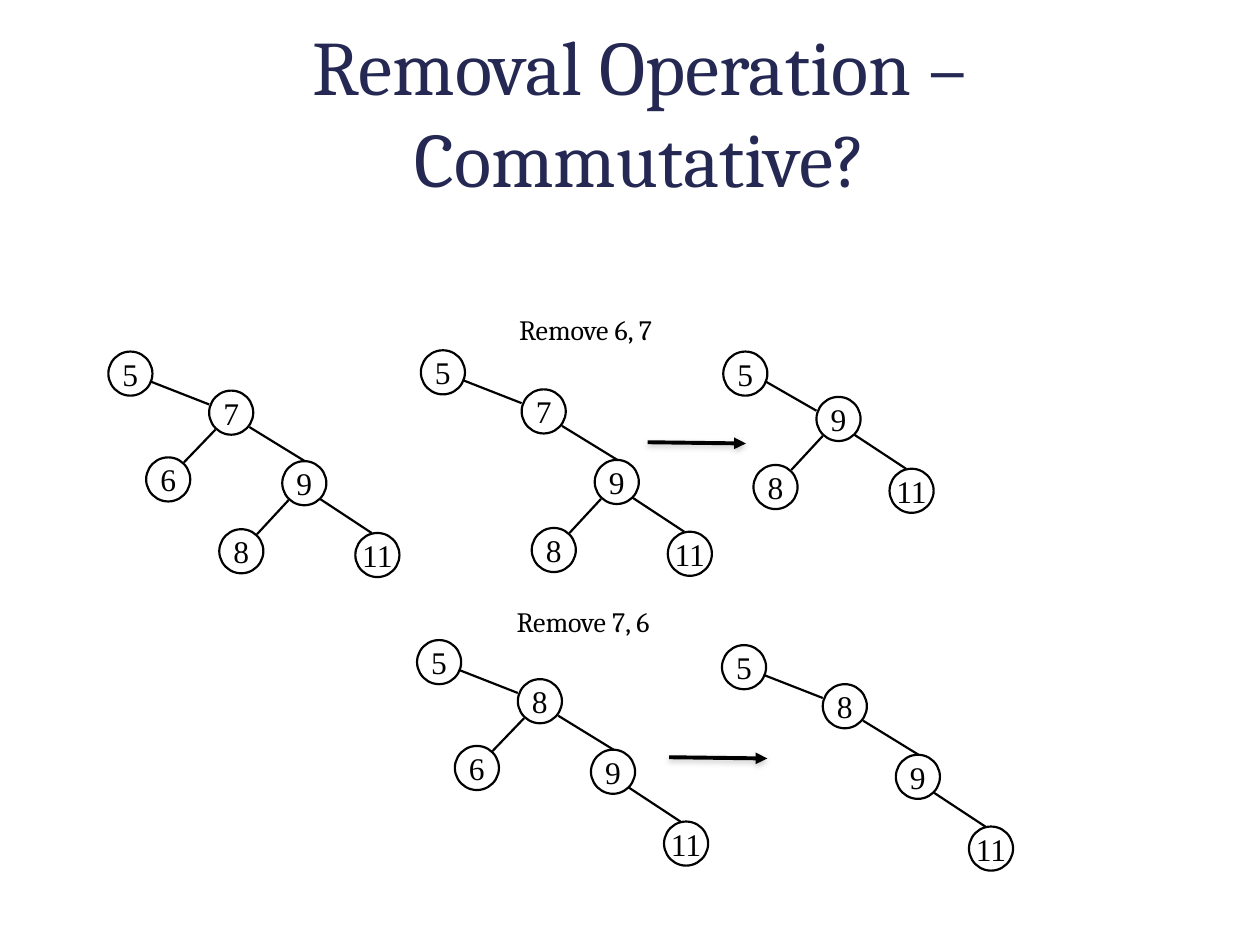
from pptx import Presentation
from pptx.dml.color import RGBColor
from pptx.enum.shapes import MSO_CONNECTOR, MSO_SHAPE
from pptx.enum.text import MSO_ANCHOR, MSO_AUTO_SIZE, PP_ALIGN
from pptx.oxml import parse_xml
from pptx.oxml.ns import nsdecls
from pptx.util import Inches, Pt

BLACK, NAVY = "000000", "242852"
NODE_SIZE = 0.35

# Where an edge leaves its parent and meets its child, from each node's corner
EDGE_ENDS = {
    "upper": ((0.34, 0.24), (0, 0.11)),
    "left": ((0.05, 0.31), (0.3, 0.04)),
    "right": ((0.32, 0.29), (0.18, 0)),
    "lower": ((0.3, 0.3), (0.13, 0)),
}

# Node: (key, parent, edge kind, x, y), offsets from the tree's corner
ROOT = ("5", None, None, 0, 0)
SIX = ("6", "7", "left", 0.3, 0.84)
SEVEN = ("7", "5", "upper", 0.8, 0.31)
EIGHT_AS_PARENT = ("8", "5", "upper", 0.8, 0.31)
NINE_UNDER_7 = ("9", "7", "right", 1.38, 0.87)
NINE_UNDER_8 = ("9", "8", "right", 1.38, 0.87)
EIGHT_LEAF = ("8", "9", "left", 0.88, 1.41)
ELEVEN = ("11", "9", "lower", 1.96, 1.44)

FULL_TREE = [ROOT, SEVEN, SIX, NINE_UNDER_7, EIGHT_LEAF, ELEVEN]
WITHOUT_6 = [ROOT, SEVEN, NINE_UNDER_7, EIGHT_LEAF, ELEVEN]
WITHOUT_6_7 = [ROOT, ("9", "5", "upper", 0.74, 0.36),
               ("8", "9", "left", 0.24, 0.9), ("11", "9", "lower", 1.32, 0.93)]
WITHOUT_7 = [ROOT, EIGHT_AS_PARENT, ("6", "8", "left", 0.3, 0.84),
             NINE_UNDER_8, ELEVEN]
WITHOUT_7_6 = [ROOT, EIGHT_AS_PARENT, NINE_UNDER_8, ELEVEN]


def color(value):
    return RGBColor.from_string(value)


def write(frame, text, font, size, ink, align, anchor, inset=0.05):
    frame.text = text
    frame.auto_size = MSO_AUTO_SIZE.NONE
    frame.vertical_anchor = anchor
    frame.margin_left = frame.margin_right = Inches(inset)
    frame.margin_top = frame.margin_bottom = Inches(inset)
    paragraph = frame.paragraphs[0]
    paragraph.alignment = align
    run_font = paragraph.runs[0].font
    run_font.name, run_font.size = font, Pt(size)
    run_font.color.rgb = color(ink)


def add_line(slide, start, end, width, effect=""):
    line = slide.shapes.add_connector(
        MSO_CONNECTOR.STRAIGHT, *(Inches(v) for v in (*start, *end)))
    line.line.color.rgb = color(BLACK)
    line.line.width = Pt(width)
    line._element.spPr.append(parse_xml(
        f'<a:effectLst {nsdecls("a")}>{effect}</a:effectLst>'))
    return line


def add_node(slide, key, left, top):
    node = slide.shapes.add_shape(
        MSO_SHAPE.OVAL, Inches(left), Inches(top),
        Inches(NODE_SIZE), Inches(NODE_SIZE))
    node.shadow.inherit = False
    node.fill.background()
    node.line.color.rgb = color(BLACK)
    node.line.width = Pt(1.25)
    write(node.text_frame, key, "Times New Roman", 18, BLACK,
          PP_ALIGN.CENTER, MSO_ANCHOR.MIDDLE, inset=0)
    node.text_frame.word_wrap = False


def add_tree(slide, left, top, nodes):
    corners = {key: (left + x, top + y) for key, _, _, x, y in nodes}
    for key, parent, edge, _, _ in nodes:
        if parent:
            leave, meet = EDGE_ENDS[edge]
            (px, py), (cx, cy) = corners[parent], corners[key]
            add_line(slide, (px + leave[0], py + leave[1]),
                     (cx + meet[0], cy + meet[1]), 1.25)
        add_node(slide, key, *corners[key])


def add_caption(slide, left, top, text):
    caption = slide.shapes.add_textbox(
        Inches(left), Inches(top), Inches(1.48), Inches(0.36))
    write(caption.text_frame, text, "Cambria", 16, BLACK,
          PP_ALIGN.LEFT, MSO_ANCHOR.TOP)
    caption.text_frame.word_wrap = True


def add_step_arrow(slide, left, top):
    shadow = ('<a:outerShdw blurRad="38100" dist="20320" dir="5400000" '
              'rotWithShape="0"><a:srgbClr val="808080">'
              '<a:alpha val="38000"/></a:srgbClr></a:outerShdw>')
    arrow = add_line(slide, (left, top), (left + 0.78, top + 0.01), 2.25, shadow)
    arrow.line._get_or_add_ln().append(parse_xml(
        f'<a:tailEnd {nsdecls("a")} type="triangle"/>'))


def add_title(slide, left, top, width, height):
    title = slide.shapes.title
    title.left, title.top = Inches(left), Inches(top)
    title.width, title.height = Inches(width), Inches(height)
    write(title.text_frame, "Removal Operation – Commutative?", "Cambria", 44,
          NAVY, PP_ALIGN.CENTER, MSO_ANCHOR.BOTTOM)


def main():
    deck = Presentation()
    deck.slide_width, deck.slide_height = Inches(10), Inches(7.5)
    slide = deck.slides.add_slide(deck.slide_layouts[5])
    add_title(slide, 1, 0.09, 8.16, 1.57)

    # Starting tree
    add_tree(slide, 0.86, 2.79, FULL_TREE)

    # Remove 6 first, then 7
    add_caption(slide, 4.07, 2.43, "Remove 6, 7")
    add_tree(slide, 3.34, 2.78, WITHOUT_6)
    add_step_arrow(slide, 5.14, 3.51)
    add_tree(slide, 5.74, 2.79, WITHOUT_6_7)

    # Remove 7 first, then 6
    add_caption(slide, 4.05, 4.75, "Remove 7, 6")
    add_tree(slide, 3.31, 5.08, WITHOUT_7)
    add_step_arrow(slide, 5.31, 6.01)
    add_tree(slide, 5.73, 5.12, WITHOUT_7_6)

    deck.save("out.pptx")


if __name__ == "__main__":
    main()
